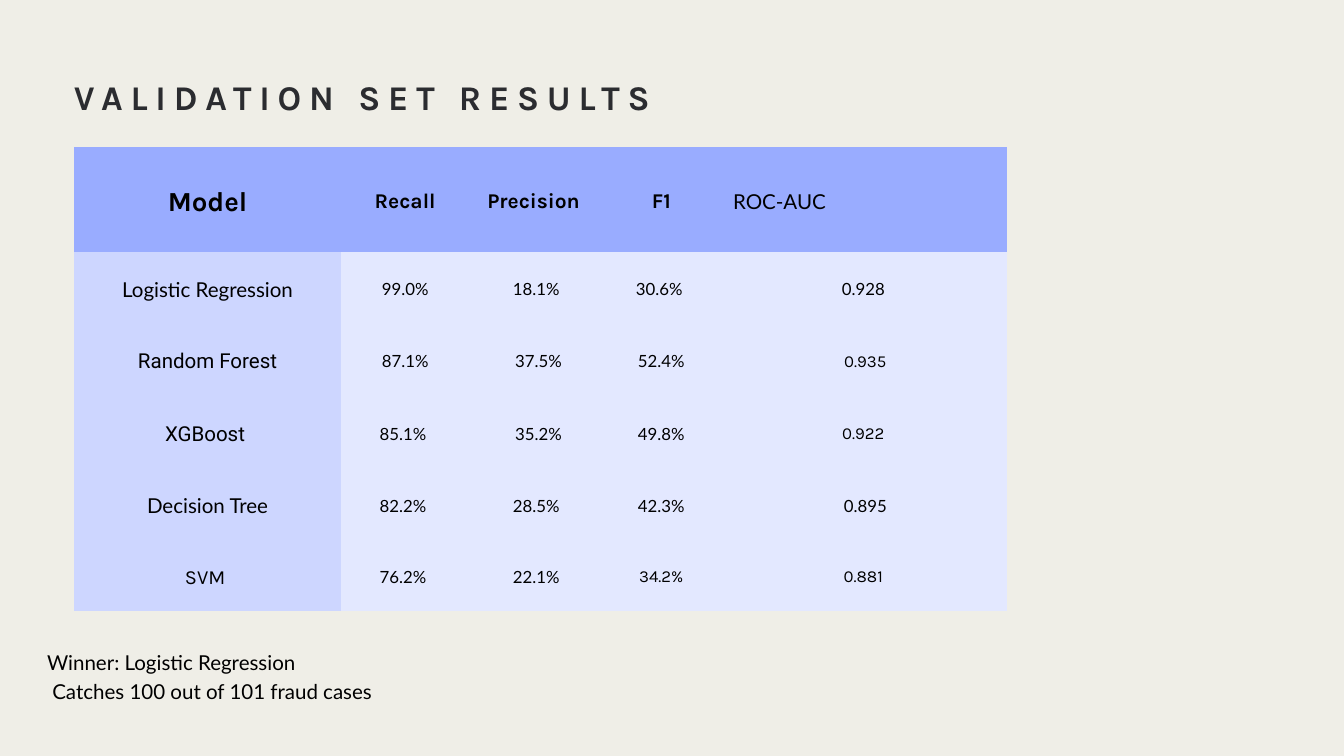
import pptx
import pptx.dml.color
import pptx.enum.text
import pptx.oxml.ns
import pptx.util
from lxml import etree
from pptx.util import Cm, Pt

COLOURS = {
    "page": "EFEEE7",
    "title": "2B2C30",
    "text": "000000",
    "header": "99ACFF",
    "model": "CDD6FF",
    "value": "E3E8FF",
}
LINE_FACTOR = 1.4
COLUMN_WIDTHS = [10.11, 4.83, 5.08, 4.37, 10.9]
ROW_HEIGHTS = [3.99, 2.69, 2.74, 2.74, 2.69, 2.69]
HEADERS = ["Model", "Recall", "Precision ", "F1", "ROC-AUC"]
RESULTS = [
    ["Logistic Regression", "99.0%", "18.1%", "30.6% ", "0.928"],
    ["Random Forest", "87.1%", " 37.5%", " 52.4% ", " 0.935"],
    ["XGBoost ", "85.1% ", " 35.2%", "49.8%", "0.922"],
    ["Decision Tree", "82.2% ", "28.5%", "42.3%", " 0.895"],
    ["SVM ", "76.2% ", "22.1%", "34.2%", "0.881"],
]
MODEL_FONTS = ["Lato", "Roboto", "Roboto", "Lato", "Karla"]
KARLA_VALUES = {(2, 4), (3, 4), (5, 3), (5, 4)}
LEFT = pptx.enum.text.PP_ALIGN.LEFT
CENTER = pptx.enum.text.PP_ALIGN.CENTER
TOP = pptx.enum.text.MSO_ANCHOR.TOP
MIDDLE = pptx.enum.text.MSO_ANCHOR.MIDDLE


def colour(name):
    return pptx.dml.color.RGBColor.from_string(COLOURS[name])


def format_text(frame, font, size, align=LEFT, bold=False, ink="text"):
    for para in frame.paragraphs:
        para.alignment = align
        para.line_spacing = Pt(size * LINE_FACTOR)
        for span in para.runs:
            span.font.name = font
            span.font.size = Pt(size)
            span.font.bold = bold
            span.font.color.rgb = colour(ink)


def set_frame(frame, margin, anchor):
    frame.word_wrap = True
    frame.auto_size = pptx.enum.text.MSO_AUTO_SIZE.NONE
    frame.vertical_anchor = anchor
    frame.margin_left = frame.margin_right = Cm(margin)
    frame.margin_top = frame.margin_bottom = Cm(margin)


def clear_borders(cell):
    properties = cell._tc.get_or_add_tcPr()
    for side in ("a:lnL", "a:lnR", "a:lnT", "a:lnB"):
        line = etree.SubElement(properties, pptx.oxml.ns.qn(side), w="0")
        etree.SubElement(line, pptx.oxml.ns.qn("a:noFill"))


def fill_cell(cell, text, fill, font, size, align=CENTER, bold=False):
    clear_borders(cell)
    cell.fill.solid()
    cell.fill.fore_color.rgb = colour(fill)
    cell.vertical_anchor = MIDDLE
    cell.margin_left = cell.margin_right = Cm(0.53)
    cell.margin_top = cell.margin_bottom = Cm(0.53)
    cell.text_frame.text = text
    format_text(cell.text_frame, font, size, align, bold)


def add_title(page):
    title = page.shapes.title
    title.left, title.top, title.width, title.height = Cm(2.79), Cm(2.62), Cm(45.09), Cm(1.8)
    frame = title.text_frame
    frame.text = "VALIDATION SET RESULTS"
    set_frame(frame, 0, TOP)
    format_text(frame, "Karla", 37.1, bold=True, ink="title")
    for span in frame.paragraphs[0].runs:
        span.font._element.set("spc", "840")


def add_results_table(page):
    table = page.shapes.add_table(
        len(ROW_HEIGHTS), len(COLUMN_WIDTHS), Cm(2.79), Cm(5.54),
        Cm(sum(COLUMN_WIDTHS)), Cm(sum(ROW_HEIGHTS)),
    ).table
    table.first_row = table.horz_banding = False
    for column, width in zip(table.columns, COLUMN_WIDTHS):
        column.width = Cm(width)
    for row, height in zip(table.rows, ROW_HEIGHTS):
        row.height = Cm(height)

    for column, text in enumerate(HEADERS):
        cell = table.cell(0, column)
        if text == "ROC-AUC":
            fill_cell(cell, text, "header", "Lato", 22, align=LEFT)
        else:
            size = 29.5 if column == 0 else 22.5
            fill_cell(cell, text, "header", "Karla", size, bold=True)

    for row, (result, model_font) in enumerate(zip(RESULTS, MODEL_FONTS), start=1):
        model, *values = result
        model_size = 21.5 if model_font == "Karla" else 22
        fill_cell(table.cell(row, 0), model, "model", model_font, model_size)
        for column, value in enumerate(values, start=1):
            font = "Karla" if (row, column) in KARLA_VALUES else "Lato"
            fill_cell(table.cell(row, column), value, "value", font, 18)


def add_winner_note(page):
    box = page.shapes.add_textbox(Cm(1.63), Cm(23.6), Cm(29.62), Cm(3.81))
    frame = box.text_frame
    frame.text = "Winner: Logistic Regression\n Catches 100 out of 101 fraud cases"
    set_frame(frame, 0.15, MIDDLE)
    format_text(frame, "Lato", 22)


def main():
    deck = pptx.Presentation()
    deck.slide_width, deck.slide_height = Cm(50.8), Cm(28.575)
    page = deck.slides.add_slide(deck.slide_layouts[5])
    page.background.fill.solid()
    page.background.fill.fore_color.rgb = colour("page")
    add_title(page)
    add_results_table(page)
    add_winner_note(page)
    deck.save("out.pptx")


if __name__ == "__main__":
    main()
